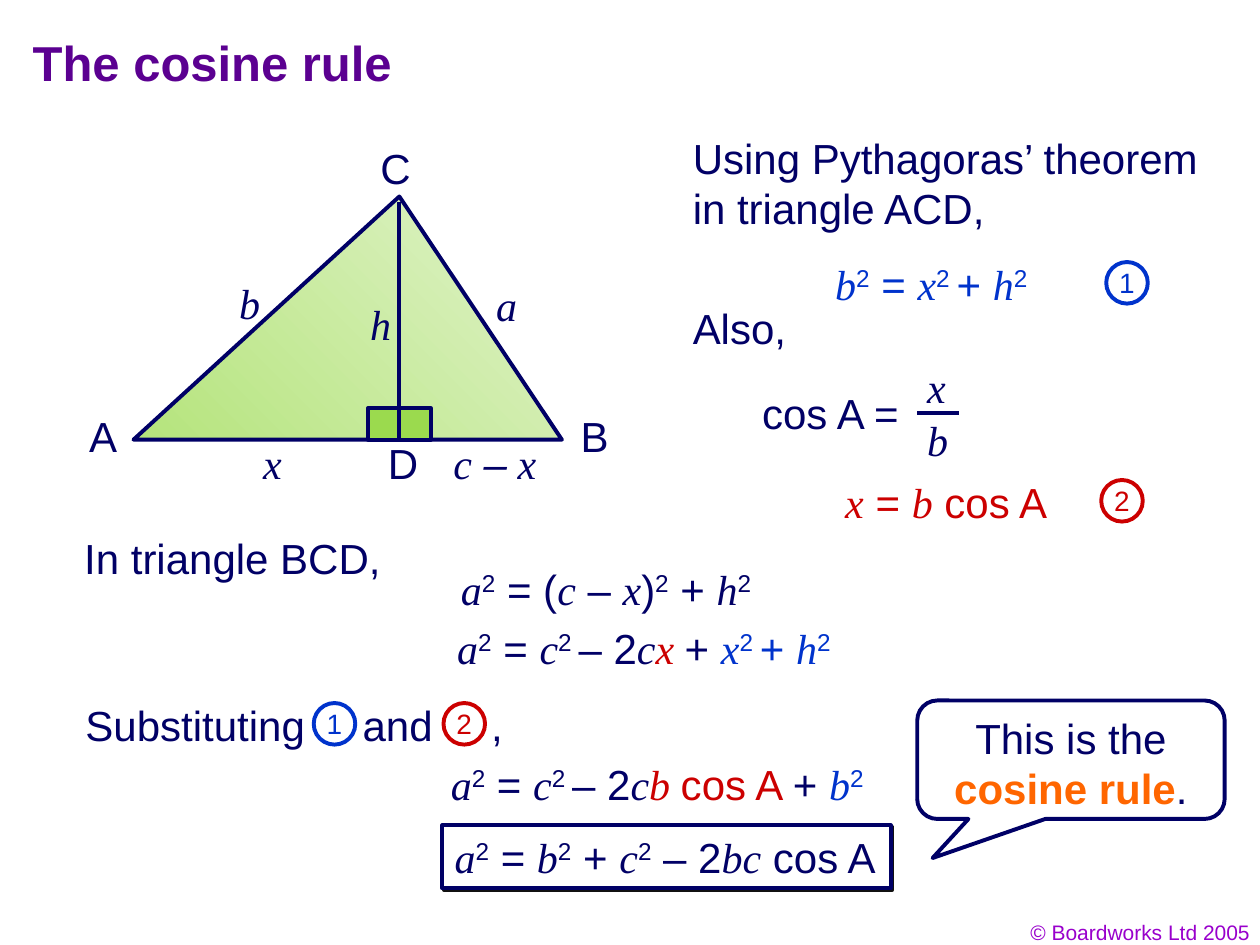
from lxml import etree
from pptx import Presentation
from pptx import util as u
from pptx.dml.color import RGBColor
from pptx.enum import shapes, text
from pptx.oxml import ns

INK, EDGE, BLUE, RED, ORANGE = "010066", "000066", "0033CC", "CC0000", "FF6600"


def color(value):
    return RGBColor.from_string(value)


# Pieces of a formula: (wording, format values)
def plain(wording, tint=INK, **extra):
    return wording, {"name": "Arial", "tint": tint, **extra}


def var(wording, tint=INK):
    return wording, {"name": "Times New Roman", "italic": True, "tint": tint}


def squared(letter, tint=INK, after=""):
    return [var(letter, tint), plain("2" + after, tint, raised=True)]


class Page:
    size = u.Pt(24)
    line_width = u.Pt(2.25)

    def __init__(self, deck):
        self.slide = deck.slides.add_slide(deck.slide_layouts[5])
        self.shapes = self.slide.shapes

    def fill_text(self, box, pieces, align="LEFT", anchor="TOP", wrap=False, tabs=(), **extra):
        frame = box.text_frame
        values = {"word_wrap": wrap, "auto_size": text.MSO_AUTO_SIZE.NONE,
                  "vertical_anchor": getattr(text.MSO_ANCHOR, anchor)}
        for key, value in values.items():
            setattr(frame, key, value)
        para = frame.paragraphs[0]
        para.alignment = getattr(text.PP_ALIGN, align)
        if tabs:
            stops = etree.SubElement(para._p.get_or_add_pPr(), ns.qn("a:tabLst"))
            for stop in tabs:
                etree.SubElement(stops, ns.qn("a:tab"), pos=str(u.Inches(stop)), algn="l")
        for wording, look in pieces:
            span = para.add_run()
            span.text = wording
            look = {"size": self.size, **look, **extra}
            span.font.color.rgb = color(look.pop("tint"))
            if look.pop("raised", False):
                span._r.get_or_add_rPr().set("baseline", "30000")
            for key, value in look.items():
                setattr(span.font, key, value)

    def title(self, wording, place):
        box = self.shapes.title
        for key, value in zip(("left", "top", "width", "height"), place):
            setattr(box, key, u.Inches(value))
        self.fill_text(box, [plain(wording, "5B0091")], anchor="MIDDLE", wrap=True,
                       size=u.Pt(28), bold=True)

    def label(self, place, pieces, **options):
        box = self.shapes.add_textbox(*map(u.Inches, place))
        self.fill_text(box, pieces, **options)

    def outline(self, shape, line=EDGE, fill=None):
        shape.shadow.inherit = False
        shape.line.color.rgb = color(line)
        shape.line.width = self.line_width
        if fill:
            shape.fill.solid()
            shape.fill.fore_color.rgb = color(fill)
        else:
            shape.fill.background()

    def shape(self, kind, place, line=EDGE, fill=None):
        shape = self.shapes.add_shape(getattr(shapes.MSO_SHAPE, kind), *map(u.Inches, place))
        self.outline(shape, line, fill)
        return shape

    def line(self, *ends):
        line = self.shapes.add_connector(shapes.MSO_CONNECTOR.STRAIGHT, *map(u.Inches, ends))
        line.line.color.rgb = color(EDGE)
        line.line.width = self.line_width
        etree.SubElement(line._element.spPr, ns.qn("a:effectLst"))

    def triangle(self, corners):
        points = [tuple(map(u.Inches, corner)) for corner in corners]
        builder = self.shapes.build_freeform(*points[0], scale=1.0)
        builder.add_line_segments(points[1:], close=True)
        shape = builder.convert_to_shape()
        self.outline(shape)
        shape.fill.gradient()
        shape.fill.gradient_angle = 225
        for stop, tint, spot in zip(shape.fill.gradient_stops, ("E1F3CB", "B5E47C"), (0, 1)):
            stop.color.rgb = color(tint)
            stop.position = spot

    def badge(self, left, top, number, tint):
        circle = self.shape("OVAL", (left, top, 0.33, 0.33), tint)
        for side in ("left", "top", "right", "bottom"):
            setattr(circle.text_frame, "margin_" + side, 0)
        self.fill_text(circle, [plain(number, tint)], align="CENTER", anchor="MIDDLE",
                       size=u.Pt(16))


def hard_shadow(shape):
    effects = shape._element.spPr.find(ns.qn("a:effectLst"))
    shadow = etree.SubElement(effects, ns.qn("a:outerShdw"), dist=str(u.Pt(1.4)),
                              dir="2700000", algn="ctr", rotWithShape="0")
    etree.SubElement(shadow, ns.qn("a:srgbClr"), val="111111")


def main():
    deck = Presentation()
    deck.slide_width, deck.slide_height = u.Inches(10), u.Inches(7.5)
    page = Page(deck)
    page.title("The cosine rule", (0.16, 0.16, 8.5, 0.67))
    page.label((7.69, 7.25, 2.33, 0.3), [plain("© Boardworks Ltd 2005", "9900CC")],
               align="RIGHT", wrap=True, size=u.Pt(12))

    # Triangle with its altitude and right angles
    foot, base, square = 3.17, 3.49, 0.25
    page.triangle([(1.06, base), (4.46, base), (foot, 1.56)])
    page.line(foot, 1.6, foot, base)
    for left in (foot - square, foot):
        page.shape("RECTANGLE", (left, base - square, square, square), fill="9BDA4E")
    for name, left, top in (("C", 2.92, 1.08), ("A", 0.61, 3.21),
                            ("B", 4.51, 3.21), ("D", 2.98, 3.42)):
        page.label((left, top, 0.44, 0.5), [plain(name)])
    for name, left, top in (("b", 1.8, 2.15), ("a", 3.84, 2.17), ("h", 2.84, 2.32),
                            ("x", 1.99, 3.42)):
        page.label((left, top, 0.36, 0.5), [var(name)])
    page.label((3.5, 3.42, 0.85, 0.5), [var("c"), plain(" –", italic=True), var(" x")])

    # Triangle ACD
    page.label((5.4, 1, 4.27, 0.9), [plain("Using Pythagoras’ theorem in triangle ACD,")],
               wrap=True)
    page.label((6.53, 2, 1.68, 0.5),
               [*squared("b", BLUE), plain(" = ", BLUE), *squared("x", BLUE, " "),
                plain("+ ", BLUE), *squared("h", BLUE)])
    page.label((5.4, 2.35, 4.27, 0.5), [plain("Also,")], wrap=True)
    page.label((5.95, 3.03, 1.41, 0.5), [plain("cos A =")])
    page.label((7.26, 2.82, 0.36, 0.5), [var("x")])
    page.line(7.28, 3.28, 7.61, 3.28)
    page.label((7.26, 3.24, 0.36, 0.5), [var("b")])
    page.label((6.61, 3.73, 1.82, 0.5),
               [var("x", RED), plain(" = ", RED), var("b", RED), plain(" cos A", RED)])

    # Triangle BCD
    page.label((0.57, 4.18, 2.55, 0.5), [plain("In triangle BCD,")])
    page.label((3.56, 4.42, 2.5, 0.5),
               [*squared("a"), plain(" = ("), var("c"), plain(" – "), var("x"), plain(")"),
                plain("2", raised=True), plain(" + "), *squared("h")])
    expansion = [*squared("a"), plain(" = "), *squared("c", after=" "), plain("– 2"), var("c")]
    page.label((3.53, 4.89, 3.3, 0.5),
               [*expansion, var("x ", RED), plain("+ "), *squared("x", BLUE, " "),
                plain("+ ", BLUE), *squared("h", BLUE)], wrap=True)

    # Substitution and result
    page.label((0.58, 5.5, 3.61, 0.5), [plain("Substituting\tand\t,")],
               wrap=True, tabs=(2.2, 3.22))
    page.label((3.48, 5.97, 3.63, 0.5),
               [*expansion, var("b ", RED), plain("cos A ", RED), plain("+ "),
                *squared("b", BLUE)], wrap=True)
    result = page.shape("RECTANGLE", (3.51, 6.55, 3.56, 0.5), fill="FFFFFF")
    hard_shadow(result)
    page.fill_text(result, [*squared("a"), plain(" = "), *squared("b"), plain(" + "),
                            *squared("c"), plain(" – 2"), var("bc"), plain(" cos A")])

    # Numbers of the two equations
    for left, top, number, tint in ((8.78, 2.08, "1", BLUE), (8.74, 3.81, "2", RED),
                                    (2.49, 5.58, "1", BLUE), (3.52, 5.58, "2", RED)):
        page.badge(left, top, number, tint)

    # Callout
    callout = page.shape("ROUNDED_RECTANGULAR_CALLOUT", (7.28, 5.56, 2.44, 0.94), fill="FFFFFF")
    for index, value in enumerate((-0.45, 0.83, 0.17)):
        callout.adjustments[index] = value
    page.fill_text(callout, [plain("This is the "), plain("cosine rule", ORANGE, bold=True),
                             plain(".")], align="CENTER", wrap=True)

    deck.save("out.pptx")


if __name__ == "__main__":
    main()
